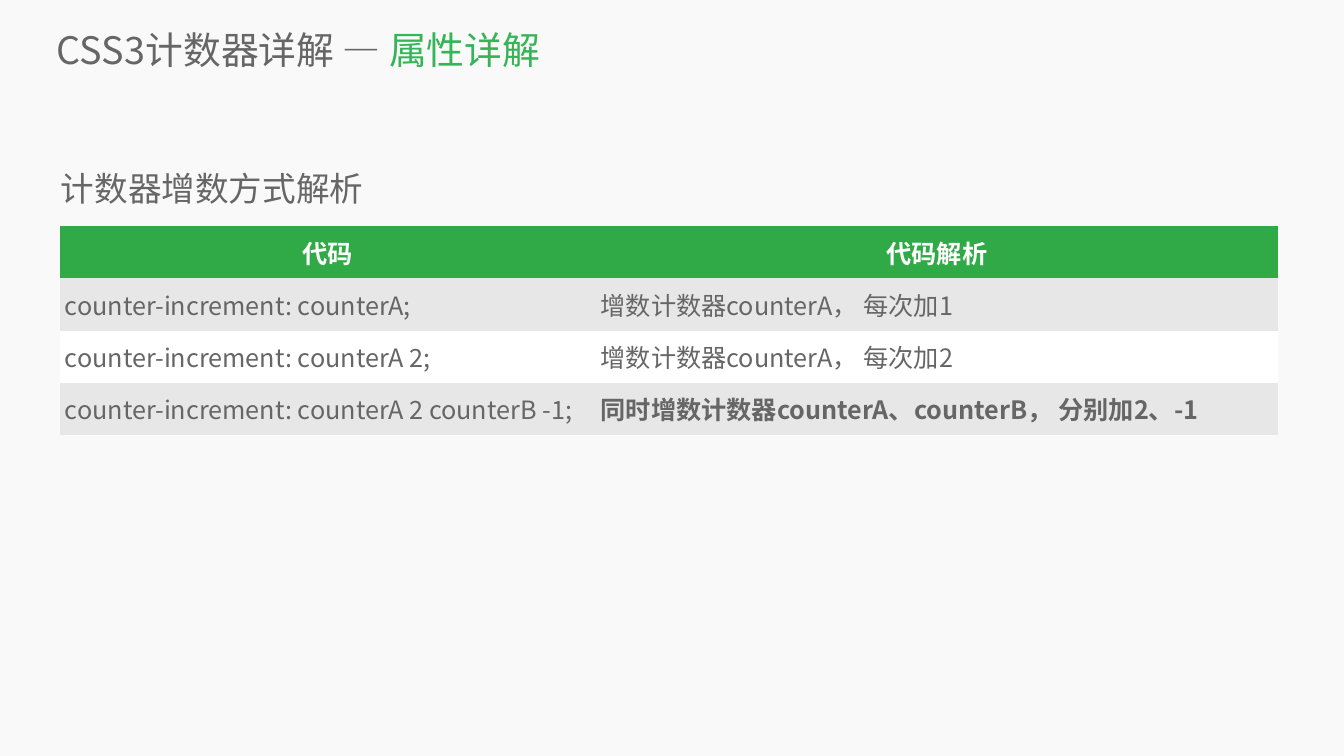
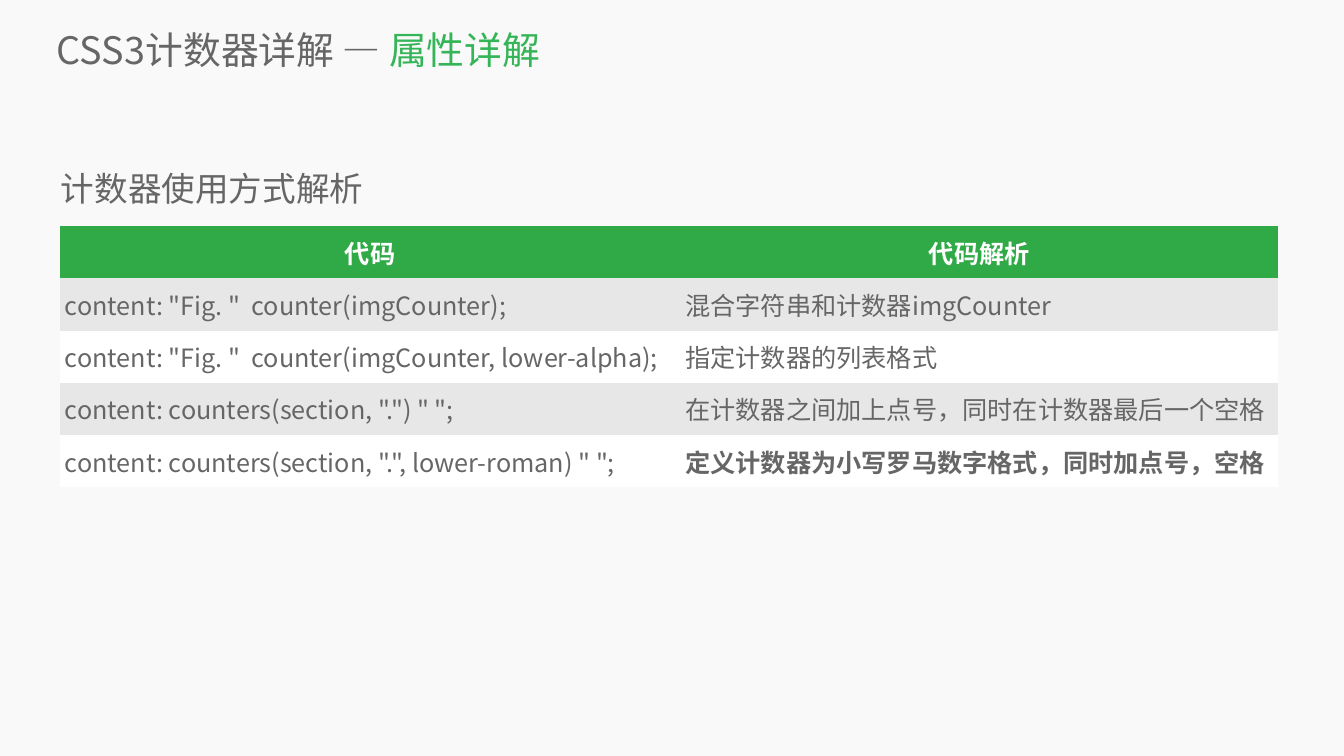
from dataclasses import dataclass

from lxml.etree import SubElement
from pptx import Presentation
from pptx.dml.color import RGBColor
from pptx.enum.text import MSO_ANCHOR as Anchor, MSO_AUTO_SIZE as AutoSize, PP_ALIGN as Align
from pptx.oxml.ns import qn
from pptx.util import Cm, Pt

FONT = "Noto Sans CJK SC"
BACKGROUND = "F9F9F9"
GREY = "666666"
TITLE_GREEN = "35B558"
HEADER_GREEN = "2FAA46"
WHITE = "FFFFFF"
BAND = "E7E7E7"

TITLE_ONLY = 5
TABLE_LEFT = 3.02
TABLE_TOP = 11.4
TABLE_WIDTH = 61.4
ROW_HEIGHT = 2.63
HEADERS = ("代码", "代码解析")
PLAIN_TABLE_STYLE = "{2D5ABB26-0587-4C30-8999-92F81FD0307C}"


@dataclass
class CodeTable:
    heading: str
    code_width: float
    rows: list[tuple[str, str]]


CODE_TABLES = [
    CodeTable("计数器增数方式解析", 27, [
        ("counter-increment: counterA;", "增数计数器counterA， 每次加1"),
        ("counter-increment: counterA 2;", "增数计数器counterA， 每次加2"),
        ("counter-increment: counterA 2 counterB -1;",
         "同时增数计数器counterA、counterB， 分别加2、-1"),
    ]),
    CodeTable("计数器使用方式解析", 31.27, [
        ('content: "Fig. "  counter(imgCounter);', "混合字符串和计数器imgCounter"),
        ('content: "Fig. "  counter(imgCounter, lower-alpha);', "指定计数器的列表格式"),
        ('content: counters(section, ".") " ";', "在计数器之间加上点号，同时在计数器最后一个空格"),
        ('content: counters(section, ".", lower-roman) " ";',
         "定义计数器为小写罗马数字格式，同时加点号，空格"),
    ]),
]


def set_fill(fill, colour: str) -> None:
    fill.solid()
    fill.fore_color.rgb = RGBColor.from_string(colour)


def add_run(paragraph, text: str, size: int, colour: str, bold: bool = False) -> None:
    run = paragraph.add_run()
    run.text = text
    font = run.font
    font.size = Pt(size)
    font.bold = bold
    set_fill(font.fill, colour)
    font.name = FONT
    SubElement(run._r.get_or_add_rPr(), qn("a:ea"), typeface=FONT)


def add_title(slide) -> None:
    title = slide.shapes.title
    title.left, title.top, title.width, title.height = Cm(2.87), Cm(1.19), Cm(63.9), Cm(2.6)
    frame = title.text_frame
    frame.margin_left = frame.margin_top = frame.margin_right = frame.margin_bottom = 0
    frame.vertical_anchor = Anchor.MIDDLE
    frame.auto_size = AutoSize.NONE
    paragraph = frame.paragraphs[0]
    paragraph.alignment = Align.LEFT
    add_run(paragraph, "CSS3计数器详解 — ", 54, GREY)
    add_run(paragraph, "属性详解", 54, TITLE_GREEN)


def fill_cell(cell, text: str, background: str, colour: str, bold: bool, align: Align) -> None:
    set_fill(cell.fill, background)
    cell.vertical_anchor = Anchor.MIDDLE
    paragraph = cell.text_frame.paragraphs[0]
    paragraph.alignment = align
    add_run(paragraph, text, 36, colour, bold)


def add_code_table(slide, content: CodeTable) -> None:
    row_count = len(content.rows) + 1
    table = slide.shapes.add_table(
        row_count, len(HEADERS), Cm(TABLE_LEFT), Cm(TABLE_TOP),
        Cm(TABLE_WIDTH), Cm(ROW_HEIGHT * row_count)).table
    table._tbl.tblPr.find(qn("a:tableStyleId")).text = PLAIN_TABLE_STYLE
    table.columns[0].width = Cm(content.code_width)
    table.columns[1].width = Cm(TABLE_WIDTH - content.code_width)
    for row in table.rows:
        row.height = Cm(ROW_HEIGHT)
    for column, header in enumerate(HEADERS):
        fill_cell(table.cell(0, column), header, HEADER_GREEN, WHITE, True, Align.CENTER)
    for row_index, texts in enumerate(content.rows, start=1):
        background = BAND if row_index % 2 else WHITE
        for column, text in enumerate(texts):
            bold = column == 1 and row_index == row_count - 1
            fill_cell(table.cell(row_index, column), text, background, GREY, bold, Align.LEFT)


def add_heading(slide, text: str) -> None:
    frame = slide.shapes.add_textbox(Cm(2.29), Cm(7.54), Cm(16.43), Cm(3.12)).text_frame
    frame.word_wrap = False
    frame.auto_size = AutoSize.SHAPE_TO_FIT_TEXT
    paragraph = frame.paragraphs[0]
    paragraph.line_spacing = 1.4
    paragraph._p.get_or_add_pPr().set("marL", str(Cm(0.53)))
    add_run(paragraph, text, 48, GREY)


def main() -> None:
    presentation = Presentation()
    presentation.slide_width = Cm(67.74)
    presentation.slide_height = Cm(38.1)
    set_fill(presentation.slide_master.background.fill, BACKGROUND)
    for content in CODE_TABLES:
        slide = presentation.slides.add_slide(presentation.slide_layouts[TITLE_ONLY])
        add_title(slide)
        add_code_table(slide, content)
        add_heading(slide, content.heading)
    presentation.save("out.pptx")


if __name__ == "__main__":
    main()
